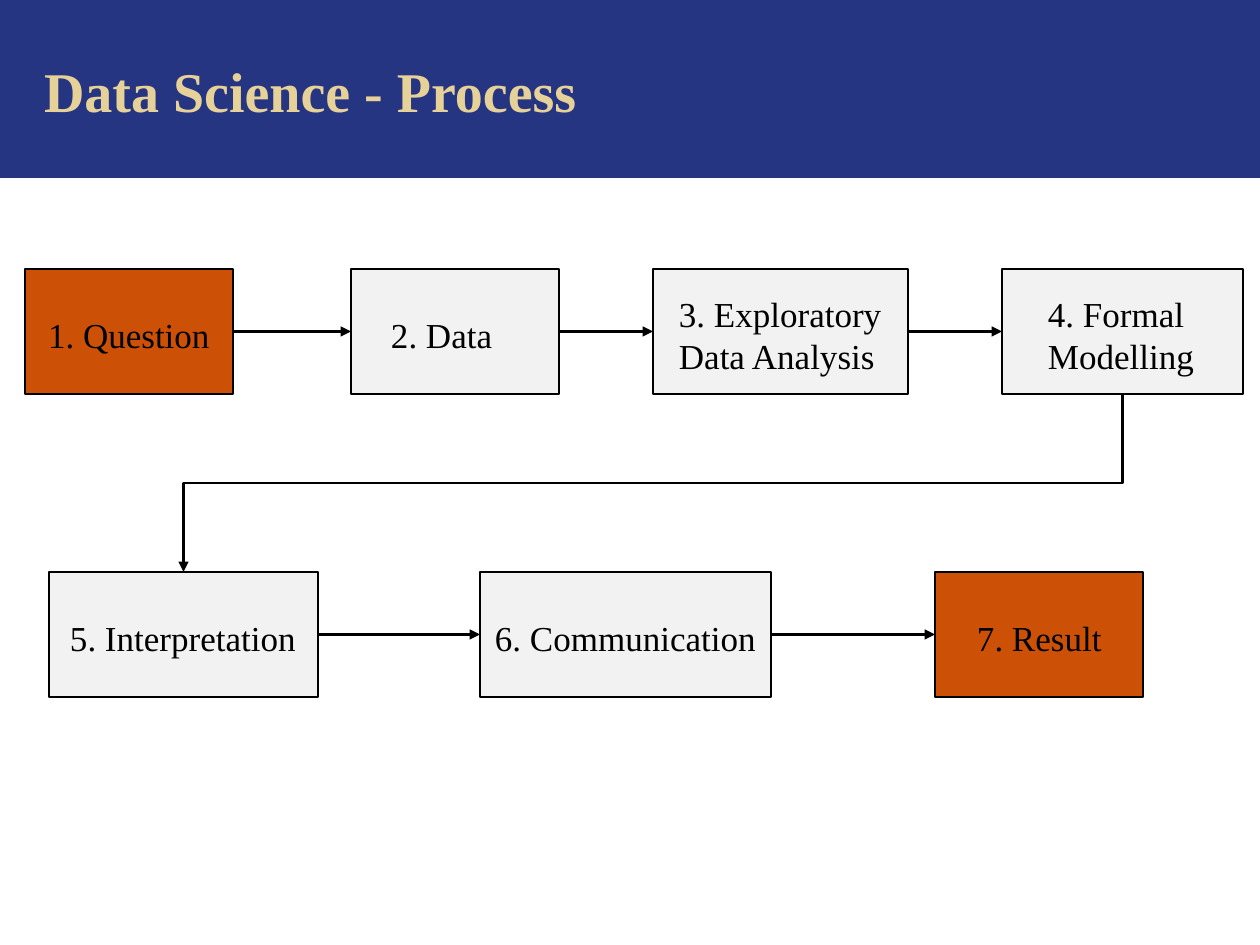
from dataclasses import dataclass

import pptx
import pptx.dml.color
import pptx.enum.shapes
import pptx.enum.text
import pptx.oxml
import pptx.oxml.ns
import pptx.util

PX = pptx.util.Inches(1) / 126
RIGHT_SITE, LEFT_SITE = 3, 1


@dataclass(frozen=True)
class Theme:
    font: str = "Times New Roman"
    band: str = "263582"
    title: str = "E6D199"
    ink: str = "000000"
    endpoint: str = "CC5106"
    step: str = "F2F2F2"
    title_size: int = 32
    title_leading: int = 42
    step_size: int = 20
    outline: float = 0.75
    arrow: float = 1.25


THEME = Theme()


def px(length):
    return round(length * PX)


def rgb(value):
    return pptx.dml.color.RGBColor.from_string(value)


def write(frame, text, *, size, color, bold=False, leading=None,
          insets=(0, 0, 0, 0), anchor=pptx.enum.text.MSO_ANCHOR.MIDDLE):
    frame.word_wrap = True
    frame.auto_size = pptx.enum.text.MSO_AUTO_SIZE.NONE
    frame.vertical_anchor = anchor
    frame.margin_left, frame.margin_top, frame.margin_right, frame.margin_bottom = map(px, insets)
    paragraph = frame.paragraphs[0]
    paragraph.alignment = pptx.enum.text.PP_ALIGN.LEFT
    if leading:
        paragraph.line_spacing = pptx.util.Pt(leading)
    run = paragraph.add_run()
    run.text = text
    run.font.name = THEME.font
    run.font.size = pptx.util.Pt(size)
    run.font.bold = bold
    run.font.color.rgb = rgb(color)


def add_box(slide, left, top, width, height, fill, outlined=True):
    box = slide.shapes.add_shape(
        pptx.enum.shapes.MSO_SHAPE.RECTANGLE, px(left), px(top), px(width), px(height))
    box.shadow.inherit = False
    box.fill.solid()
    box.fill.fore_color.rgb = rgb(fill)
    if outlined:
        box.line.color.rgb = rgb(THEME.ink)
        box.line.width = pptx.util.Pt(THEME.outline)
    else:
        box.line.fill.background()
    return box


def add_arrow(slide, kind, start=(0, 0), end=(0, 0)):
    arrow = slide.shapes.add_connector(kind, *start, *end)
    arrow.line.color.rgb = rgb(THEME.ink)
    arrow.line.width = pptx.util.Pt(THEME.arrow)
    head = pptx.oxml.parse_xml(
        f'<a:tailEnd {pptx.oxml.ns.nsdecls("a")} type="triangle"/>')
    arrow.line._get_or_add_ln().append(head)
    effects = pptx.oxml.parse_xml(f'<a:effectLst {pptx.oxml.ns.nsdecls("a")}/>')
    arrow._element.spPr.append(effects)
    return arrow


def title_band(slide, left, top, width, height, text):
    band = add_box(slide, left, top, width, height, THEME.band, outlined=False)
    slide.shapes._spTree.insert(2, band._element)
    title = slide.shapes.title
    title.left, title.top = px(left + 31), px(top + 44)
    title.width, title.height = px(1096), px(92)
    write(title.text_frame, text, size=THEME.title_size, color=THEME.title, bold=True,
          leading=THEME.title_leading, insets=(13, 6, 13, 6),
          anchor=pptx.enum.text.MSO_ANCHOR.TOP)


def process_row(slide, left, top, height, steps):
    boxes = []
    for text, offset, width, indent, fill in steps:
        box = add_box(slide, left + offset, top, width, height, fill)
        write(box.text_frame, text, size=THEME.step_size, color=THEME.ink,
              insets=(indent, 6, 0, 0))
        boxes.append(box)
    for source, target in zip(boxes, boxes[1:]):
        arrow = add_arrow(slide, pptx.enum.shapes.MSO_CONNECTOR.STRAIGHT)
        arrow.begin_connect(source, RIGHT_SITE)
        arrow.end_connect(target, LEFT_SITE)
    return boxes


def row_link(slide, source, target):
    start_x, start_y = source.left + source.width // 2, source.top + source.height
    end_x, end_y = target.left + target.width // 2, target.top
    drop, span = end_y - start_y, start_x - end_x
    left = (start_x + end_x - drop) // 2
    top = (start_y + end_y - span) // 2
    link = add_arrow(slide, pptx.enum.shapes.MSO_CONNECTOR.ELBOW,
                     (left, top), (left + drop, top + span))
    link._element.spPr.xfrm.set("rot", str(90 * 60000))


def main():
    deck = pptx.Presentation()
    deck.slide_width, deck.slide_height = px(1260), px(945)
    slide = deck.slides.add_slide(deck.slide_layouts.get_by_name("Title Only"))
    title_band(slide, 0, 0, 1260, 178, "Data Science - Process")
    modelling_row = process_row(slide, 25, 269, 125, [
        ("1. Question", 0, 208, 23, THEME.endpoint),
        ("2. Data", 326, 208, 40, THEME.step),
        ("3. Exploratory Data Analysis", 628, 255, 26, THEME.step),
        ("4. Formal Modelling", 977, 241, 46, THEME.step),
    ])
    reporting_row = process_row(slide, 49, 572, 125, [
        ("5. Interpretation", 0, 269, 21, THEME.step),
        ("6. Communication", 431, 291, 15, THEME.step),
        ("7. Result", 886, 208, 42, THEME.endpoint),
    ])
    row_link(slide, modelling_row[-1], reporting_row[0])
    deck.save("out.pptx")


if __name__ == "__main__":
    main()
